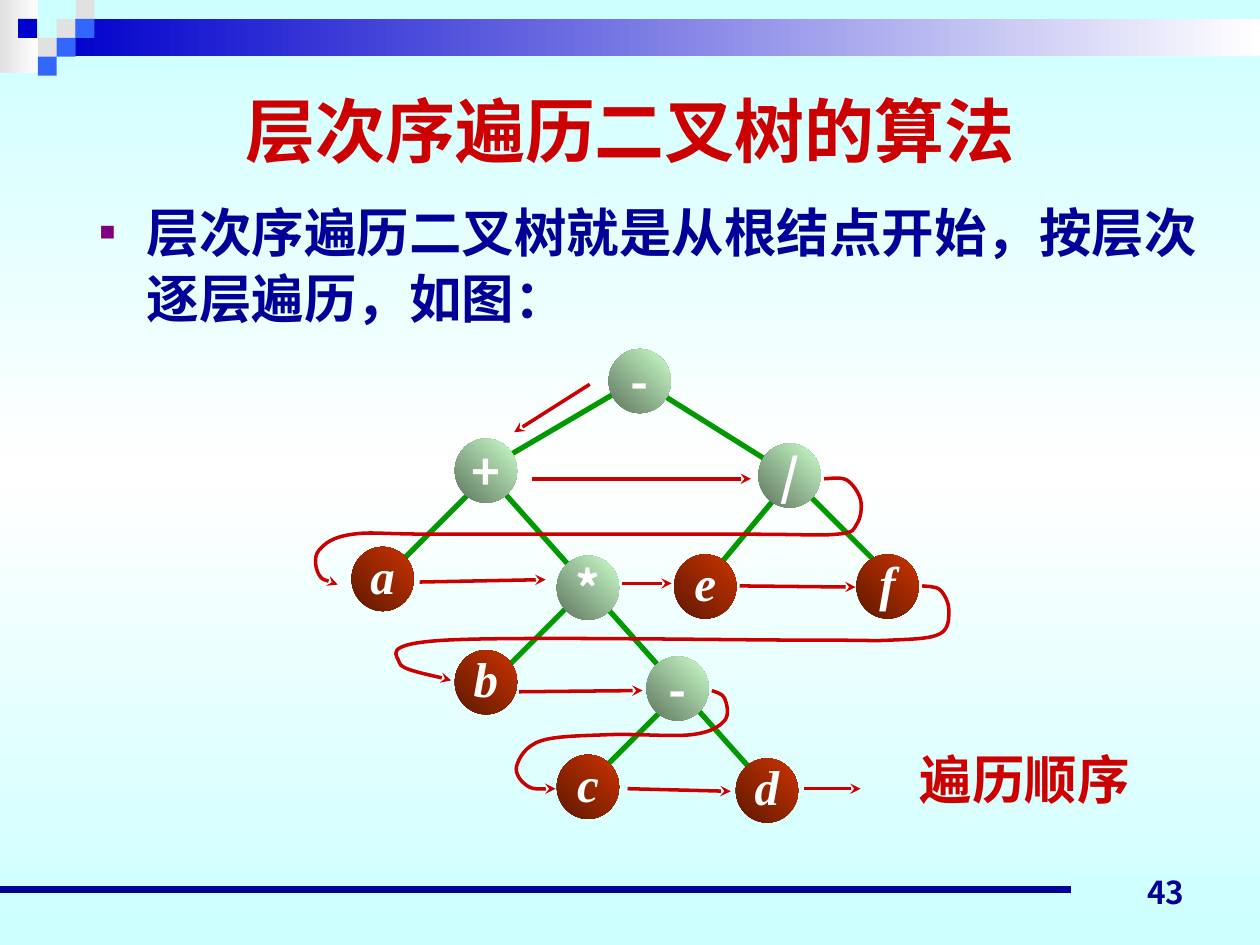
from copy import deepcopy
from lxml.etree import SubElement
from pptx import Presentation
from pptx.dml.color import RGBColor
from pptx.enum.shapes import MSO_CONNECTOR, MSO_SHAPE
from pptx.enum.text import MSO_ANCHOR, MSO_AUTO_SIZE, PP_ALIGN
from pptx.oxml import parse_xml
from pptx.oxml.ns import nsdecls, qn
from pptx.util import Pt


def paint(target, *colours, angle=0):
    """Fill a font, line, shape or background with one colour or a gradient."""
    colours = [RGBColor.from_string(colour) for colour in colours]
    if len(colours) == 1:
        target.fill.solid()
        target.fill.fore_color.rgb = colours[0]
        return
    target.fill.gradient()
    target.fill.gradient_angle = angle
    stops = target.fill.gradient_stops
    if len(colours) == 3:
        last_stop = target.fill._fill._gradFill.gsLst[-1]
        last_stop.addnext(deepcopy(last_stop))
        stops = target.fill.gradient_stops
    for i, (stop, colour) in enumerate(zip(stops, colours)):
        stop.color.rgb = colour
        stop.position = i / (len(colours) - 1)


def write(frame, text, colour, align, anchor, **font_format):
    """Put one formatted paragraph in a text frame."""
    frame.text = text
    frame.auto_size = MSO_AUTO_SIZE.NONE
    frame.vertical_anchor = anchor
    paragraph = frame.paragraphs[0]
    paragraph.alignment = align
    paragraph.space_before = Pt(0)
    font = paragraph.runs[0].font
    for name, value in {"bold": True, **font_format}.items():
        setattr(font, name, value)
    paint(font, colour)
    return paragraph


RED, NAVY, GREEN = "CC0000", "000099", "009900"
SERIF, SANS = "Times New Roman", "Noto Sans CJK SC"

prs = Presentation()
prs.slide_width, prs.slide_height = Pt(720), Pt(540)
slide = prs.slides.add_slide(prs.slide_layouts[1])
shapes = slide.shapes
paint(slide.background, "CCFFFF", "FFFFFF", "CCFFFF", angle=270)

# Header band and its mosaic of squares
SQUARE = 10.8
header_blocks = [
    (0, 0, 22, 42, "E1E1E1", "FFFFFF"),
    (32.4, 10.8, 687.6, 21.4, "0000CC", "FFFFFF"),
    (32.4, 10.8, SQUARE, SQUARE, "E1E1E1"),
    (43.2, 0, SQUARE, SQUARE, "E1E1E1"),
    (43.2, 10.8, SQUARE, SQUARE, "3366FF"),
    (21.6, 21.6, SQUARE, SQUARE, "E1E1E1"),
    (10.4, 10.8, SQUARE, SQUARE, "0000CC"),
    (32.4, 21.6, SQUARE, SQUARE, "3366FF"),
    (21.6, 32.4, SQUARE, SQUARE, "3366FF"),
]
for *box, start, end in [b if len(b) == 6 else (*b, None) for b in header_blocks]:
    block = shapes.add_shape(MSO_SHAPE.RECTANGLE, *map(Pt, box))
    block.shadow.inherit = False
    block.line.fill.background()
    paint(block, *filter(None, (start, end)))

# Title
title = shapes.title
title.left, title.top, title.width, title.height = map(Pt, (36, 36, 648, 75.6))
write(title.text_frame, "层次序遍历二叉树的算法", RED, PP_ALIGN.CENTER,
      MSO_ANCHOR.MIDDLE, size=Pt(40), name="Arial")

# Definition, with a small square bullet
body = slide.placeholders[1]
body.left, body.top, body.width, body.height = map(Pt, (49.7, 108.7, 648, 306))
definition = write(body.text_frame, "层次序遍历二叉树就是从根结点开始，按层次逐层遍历，如图：", NAVY,
                   PP_ALIGN.LEFT, MSO_ANCHOR.TOP, size=Pt(30), name=SERIF)
definition.line_spacing = 1.05
bullet = definition._p.get_or_add_pPr()
bullet.set("marL", str(Pt(27)))
bullet.set("indent", str(-Pt(27)))
SubElement(SubElement(bullet, qn("a:buClr")), qn("a:srgbClr"), val="800080")
SubElement(bullet, qn("a:buSzPct"), val="50000")
SubElement(bullet, qn("a:buFont"), typeface="Arial")
SubElement(bullet, qn("a:buChar"), char="■")

# Caption and page number
for text, box, colour, align, anchor, size, face in [
    ("遍历顺序", (518.4, 423.4, 162, 43.2), RED, PP_ALIGN.LEFT, MSO_ANCHOR.TOP, 30, SERIF),
    ("43", (516.2, 488.2, 167.8, 36), NAVY, PP_ALIGN.RIGHT, MSO_ANCHOR.BOTTOM, 18,
     "Noto Sans CJK JP"),
]:
    label = shapes.add_textbox(*map(Pt, box)).text_frame
    label.word_wrap = True
    write(label, text, colour, align, anchor, size=Pt(size), name=face)

# Straight lines: footer rule, tree branches, steps within a level
footer_rule = [(0, 508.3, 612, 508.3)]
branches = [
    (357.8, 221, 286.6, 262.8), (270, 280.1, 229, 321.1), (288, 281.5, 431.3, 442.1),
    (325.4, 345.6, 288, 383), (380.9, 403.2, 340.6, 443.5), (445, 282.2, 409, 325.4),
    (375.8, 223.9, 441.4, 265), (460.8, 281.5, 502.6, 323.3),
]
steps = [
    (337, 219.6, 293.8, 247), (303.8, 273.6, 429.1, 273.6), (239.8, 332.6, 311.8, 331.2),
    (355.7, 333.4, 383.8, 333.4), (422.6, 334.8, 488.9, 335.5), (296.6, 395.3, 367.2, 394.6),
    (358.6, 450.7, 417.6, 452.2), (459.4, 450.7, 491.8, 450.7),
]
arrows = []
for lines, colour, width in [(footer_rule, NAVY, 4.5), (branches, GREEN, 3), (steps, RED, 2)]:
    for ends in lines:
        line = shapes.add_connector(MSO_CONNECTOR.STRAIGHT, *map(Pt, ends))
        paint(line.line, colour)
        line.line.width = Pt(width)
        SubElement(line._element.spPr, qn("a:effectLst"))
        if lines is steps:
            arrows.append(line)

# Tree nodes: operators are green, operands are red
NODE_WIDTH, NODE_HEIGHT = 35.6, 36.7
nodes = [
    ("-", 347.8, 199.4), ("+", 259.9, 250.6), ("/", 433.4, 253.4), ("*", 318.2, 317.5),
    ("-", 369.4, 375.1), ("a", 200.9, 312.5), ("b", 259.9, 371.5), ("c", 318.2, 431.3),
    ("d", 420.5, 433.4), ("e", 385.2, 316.8), ("f", 489.4, 316.8),
]
for symbol, left, top in nodes:
    operand = symbol.isalpha()
    node = shapes.add_shape(MSO_SHAPE.OVAL, Pt(left), Pt(top), Pt(NODE_WIDTH), Pt(NODE_HEIGHT))
    node.shadow.inherit = False
    node.line.fill.background()
    paint(node, *(("5E1800", "CC3300") if operand else ("5E765E", "CCFFCC")), angle=45)
    frame = node.text_frame
    frame.word_wrap = False
    frame.margin_left = frame.margin_right = frame.margin_top = 0
    frame.margin_bottom = Pt(5 if operand else 0)
    write(frame, symbol, "FFFFFF", PP_ALIGN.CENTER, MSO_ANCHOR.MIDDLE, size=Pt(28),
          name=SERIF if operand else SANS, italic=operand)

# Smooth curves from the end of one level to the start of the next
level_changes = [
    [(470.9, 273.6), (483.8, 274.3), (491.8, 285.8), (489.6, 299.5), (478.1, 305.3),
     (424.1, 305.3), (252.7, 305.3), (201.6, 305.3), (182.2, 314.6), (182.2, 328.3),
     (193, 334.1)],
    [(527, 334.8), (537.1, 337), (542.2, 348.5), (537.1, 362.2), (509, 365.8),
     (461.5, 365.8), (254.9, 365.8), (228.2, 378.7), (257.8, 388.8)],
    [(406.8, 394.6), (414, 398.9), (414, 411.8), (395.3, 419.8), (348.5, 419.8),
     (308.9, 423.4), (295.2, 437.8), (301.7, 449.3), (317.5, 450.7)],
]
for knots in level_changes:
    outline = shapes.build_freeform(*map(Pt, knots[0]))
    outline.add_line_segments([(Pt(x), Pt(y)) for x, y in knots[1:]], close=False)
    curve = outline.convert_to_shape()
    curve.shadow.inherit = False
    curve.fill.background()
    paint(curve.line, RED)
    curve.line.width = Pt(2)
    arrows.append(curve)

    # Each control point lies a sixth of the neighbours' distance from its knot
    segments = list(curve._element.iter(qn("a:lnTo")))
    points = [(int(p.get("x")), int(p.get("y"))) for p in curve._element.iter(qn("a:pt"))]
    padded = [points[0], *points, points[-1]]
    for segment, before, start, end, after in zip(
            segments, padded, padded[1:], padded[2:], padded[3:]):
        segment.tag = qn("a:cubicBezTo")
        leave = [s + (e - b) // 6 for b, s, e in zip(before, start, end)]
        arrive = [e - (a - s) // 6 for s, e, a in zip(start, end, after)]
        for i, (x, y) in enumerate((leave, arrive)):
            segment.insert(i, parse_xml(f'<a:pt {nsdecls("a")} x="{x}" y="{y}"/>'))

# Arrowheads along the whole traversal
for arrow in arrows:
    SubElement(arrow.line._get_or_add_ln(), qn("a:tailEnd"), type="stealth")

prs.save("out.pptx")
